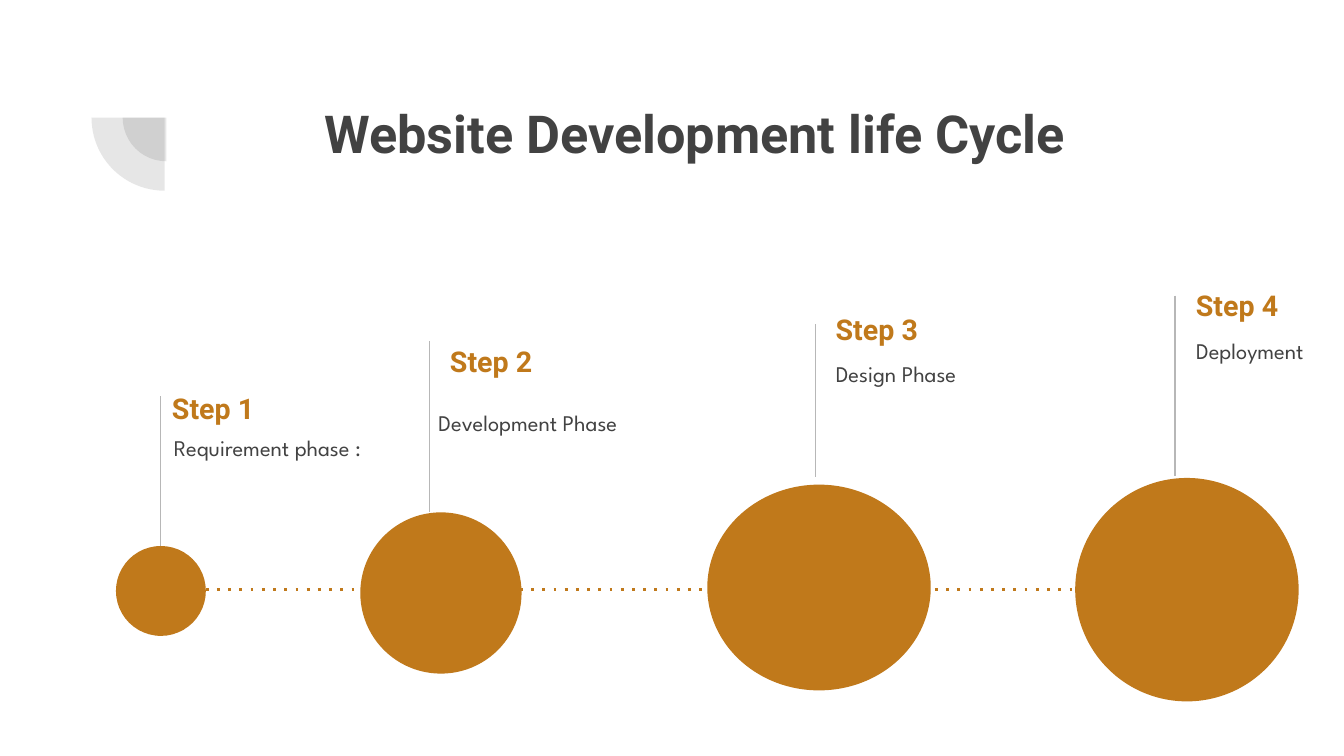
from lxml.etree import SubElement
from pptx import Presentation
from pptx.dml.color import RGBColor
from pptx.enum.shapes import MSO_CONNECTOR, MSO_SHAPE
from pptx.enum.text import MSO_ANCHOR, MSO_AUTO_SIZE, PP_ALIGN
from pptx.oxml.ns import qn
from pptx.util import Emu, Pt

EMU_PER_PX = 5715  # 160 px to the inch
ORANGE = RGBColor(0xC0, 0x79, 0x1B)
DARK = RGBColor(0x42, 0x42, 0x42)
GREY = RGBColor(0xB7, 0xB7, 0xB7)

TITLE = {"name": "Roboto", "size": Pt(28), "bold": True}
HEADING = {"name": "Roboto", "size": Pt(15.3), "bold": True}
BODY = {"name": "League Spartan", "size": Pt(12), "bold": False}
LABEL_WIDTH, HEADING_HEIGHT, BODY_HEIGHT = 317, 69, 101

# heading, its left, top and line spacing, description, its left and top,
# marker x, top and bottom, circle left, top, width and height
STEPS = [
    ("Step 1", (189, 451, 1.0), "Requirement phase :", (191, 496),
     (191, 472, 650), (138, 650, 107, 107)),
    ("Step 2", (520, 395, 1.0), "Development Phase", (506, 466),
     (511, 406, 610), (429, 610, 192, 192)),
    ("Step 3", (979, 357, 1.0), "Design Phase", (979, 408),
     (971, 386, 568), (842, 577, 266, 245)),
    ("Step 4", (1408, 331, 0.9), "Deployment", (1408, 381),
     (1399, 352, 567), (1280, 569, 266, 266)),
]


def px(value):
    return Emu(value * EMU_PER_PX)


class SlideBuilder:
    def __init__(self, slide):
        self.slide = slide

    def text(self, shape, box, text, font, color,
             anchor=MSO_ANCHOR.TOP, line_spacing=1.0, space_after=0):
        """Place a text box or placeholder and format its one paragraph."""
        shape.left, shape.top, shape.width, shape.height = map(px, box)
        frame = shape.text_frame
        frame.text = text
        inset = px(16)
        frame_format = {
            "word_wrap": True, "auto_size": MSO_AUTO_SIZE.NONE,
            "vertical_anchor": anchor, "margin_left": inset,
            "margin_right": inset, "margin_top": inset, "margin_bottom": inset,
        }
        for name, value in frame_format.items():
            setattr(frame, name, value)
        paragraph = frame.paragraphs[0]
        paragraph_format = {
            "alignment": PP_ALIGN.LEFT, "line_spacing": line_spacing,
            "space_before": Pt(0), "space_after": Pt(space_after),
        }
        for name, value in paragraph_format.items():
            setattr(paragraph, name, value)
        properties = paragraph._p.get_or_add_pPr()
        properties.set("marL", "0")
        properties.set("indent", "0")
        SubElement(properties, qn("a:buNone"))
        for name, value in font.items():
            setattr(paragraph.font, name, value)
        paragraph.font.color.rgb = color

    def heading(self, left, top, line_spacing, text):
        box = (left, top, LABEL_WIDTH, HEADING_HEIGHT)
        shape = self.slide.shapes.add_textbox(*map(px, box))
        self.text(shape, box, text, HEADING, ORANGE, MSO_ANCHOR.MIDDLE,
                  line_spacing)

    def description(self, placeholder, left, top, text):
        box = (left, top, LABEL_WIDTH, BODY_HEIGHT)
        self.text(placeholder, box, text, BODY, DARK,
                  line_spacing=1.15, space_after=12)

    def shape(self, kind, box, color):
        shape = self.slide.shapes.add_shape(kind, *map(px, box))
        shape.shadow.inherit = False
        shape.fill.solid()
        shape.fill.fore_color.rgb = color
        shape.line.fill.background()
        return shape

    def quarter(self, left, top, size):
        """A see-through quarter disc, lower left of its centre."""
        shape = self.shape(MSO_SHAPE.PIE, (left, top, size, size), DARK)
        shape.adjustments[0], shape.adjustments[1] = 108, 162
        shape.rotation = 270
        color = shape._element.spPr.find(qn("a:solidFill"))[0]
        SubElement(color, qn("a:alpha"), val="13000")

    def line(self, start, end, color, width, dash=None):
        connector = self.slide.shapes.add_connector(
            MSO_CONNECTOR.STRAIGHT, *map(px, start + end))
        connector.line.color.rgb = color
        connector.line.width = Pt(width)
        properties = connector._element.spPr
        if dash:
            SubElement(properties.find(qn("a:ln")), qn("a:prstDash"), val=dash)
        SubElement(properties, qn("a:effectLst"))


def main():
    presentation = Presentation()
    presentation.slide_width, presentation.slide_height = px(1600), px(900)
    # The Comparison layout has a title and four bodies
    slide = presentation.slides.add_slide(presentation.slide_layouts[4])
    title, *bodies = list(slide.placeholders)
    builder = SlideBuilder(slide)

    # Title and corner ornament
    builder.quarter(146, 88, 104)
    builder.quarter(109, 53, 174)
    builder.text(title, (370, 104, 1230, 174),
                 "Website Development life Cycle", TITLE, DARK)

    # Timeline, behind the circles
    builder.line((245, 702), (1280, 702), ORANGE, 1.5, "dot")

    # Steps
    for body, step in zip(bodies, STEPS):
        heading, heading_at, description, description_at, marker, circle = step
        x, top, bottom = marker
        builder.line((x, top), (x, bottom), GREY, 0.75)
        builder.shape(MSO_SHAPE.OVAL, circle, ORANGE)
        builder.heading(*heading_at, heading)
        builder.description(body, *description_at, description)

    presentation.save("out.pptx")


if __name__ == "__main__":
    main()
